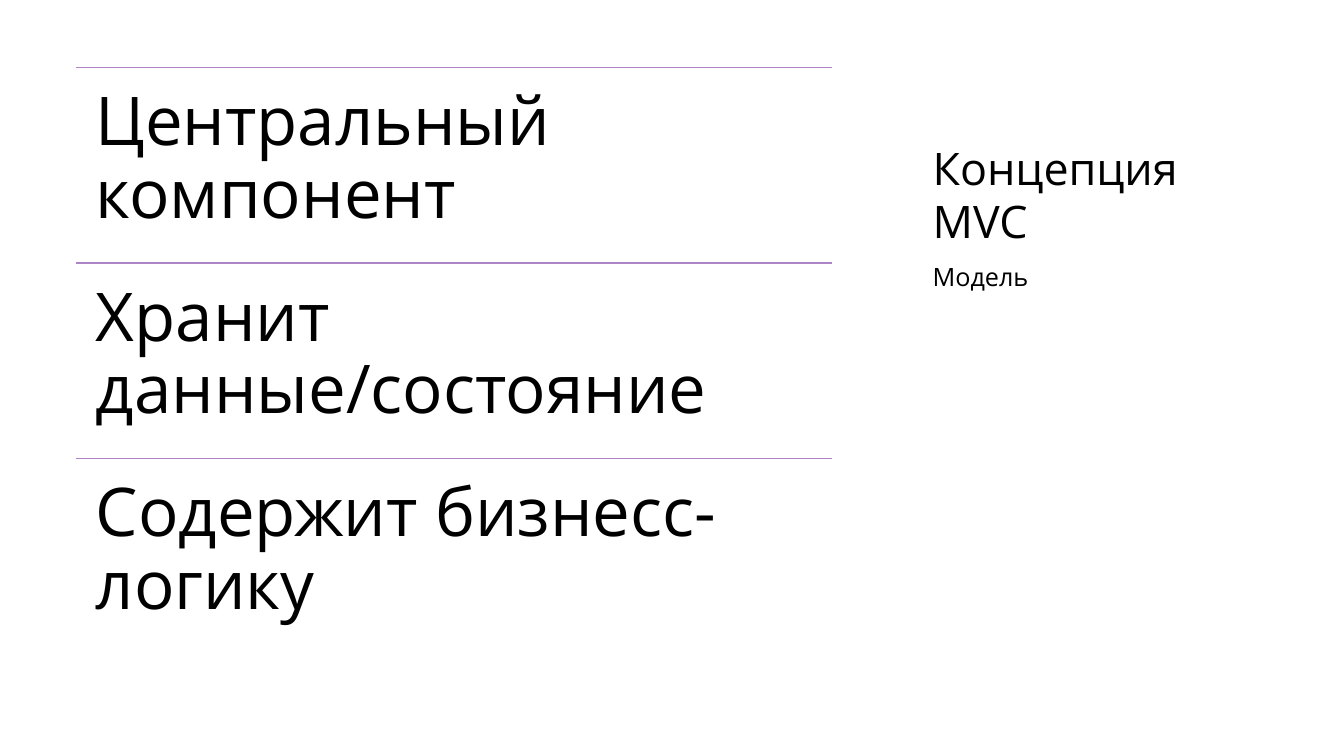
from lxml import etree
from pptx import Presentation
from pptx.dml.color import RGBColor
from pptx.enum.shapes import MSO_CONNECTOR
from pptx.enum.text import MSO_ANCHOR, MSO_AUTO_SIZE, PP_ALIGN
from pptx.oxml.ns import qn
from pptx.util import Inches, Pt

FONT = "Open Sans"
BLACK = "000000"
PURPLE = "AD84C6"
POINTS = ["Центральный компонент", "Хранит данные/состояние", "Содержит бизнесс-логику"]


def color(value):
    return RGBColor.from_string(value)


def write_text(box, text, size, spacing, inset=0, anchor=MSO_ANCHOR.TOP):
    frame = box.text_frame
    frame.word_wrap = True
    frame.auto_size = MSO_AUTO_SIZE.NONE
    frame.vertical_anchor = anchor
    frame.margin_left = frame.margin_right = Inches(inset)
    frame.margin_top = frame.margin_bottom = Inches(inset)
    frame.text = text
    para = frame.paragraphs[0]
    para.alignment = PP_ALIGN.LEFT
    para.line_spacing = spacing
    para.font.name = FONT
    para.font.size = Pt(size)
    para.font.color.rgb = color(BLACK)
    return para


def add_rule(page, left, top, width):
    rule = page.shapes.add_connector(
        MSO_CONNECTOR.STRAIGHT,
        Inches(left), Inches(top), Inches(left + width), Inches(top))
    rule.line.color.rgb = color(PURPLE)
    rule.line.width = Pt(1)
    etree.SubElement(rule._element.spPr, qn("a:effectLst"))


def add_points(page, left, top, width, height):
    row_height = height / len(POINTS)
    for index, text in enumerate(POINTS):
        row_top = top + index * row_height
        add_rule(page, left, row_top, width)
        box = page.shapes.add_textbox(
            Inches(left), Inches(row_top), Inches(width), Inches(row_height))
        write_text(box, text, 48, 0.9, inset=0.2)


def add_heading(page, left, top, width, height):
    title_height = 1.8
    subtitle_offset = 1.9
    title = page.shapes.title
    title.left, title.top = Inches(left), Inches(top)
    title.width, title.height = Inches(width), Inches(title_height)
    write_text(title, "Концепция MVC", 32, 1.0, anchor=MSO_ANCHOR.BOTTOM)
    subtitle = page.shapes.add_textbox(
        Inches(left), Inches(top + subtitle_offset),
        Inches(width), Inches(height - subtitle_offset))
    para = write_text(subtitle, "Модель", 18, 1.1)
    para.space_before = Pt(8)


def main():
    deck = Presentation()
    deck.slide_width, deck.slide_height = Inches(13.33), Inches(7.5)
    page = deck.slides.add_slide(deck.slide_layouts[5])
    page.background.fill.solid()
    page.background.fill.fore_color.rgb = color("FFFFFF")
    add_points(page, 0.75, 0.67, 7.5, 5.82)
    add_heading(page, 9.25, 0.66, 3.46, 5.84)
    deck.save("out.pptx")


if __name__ == "__main__":
    main()
